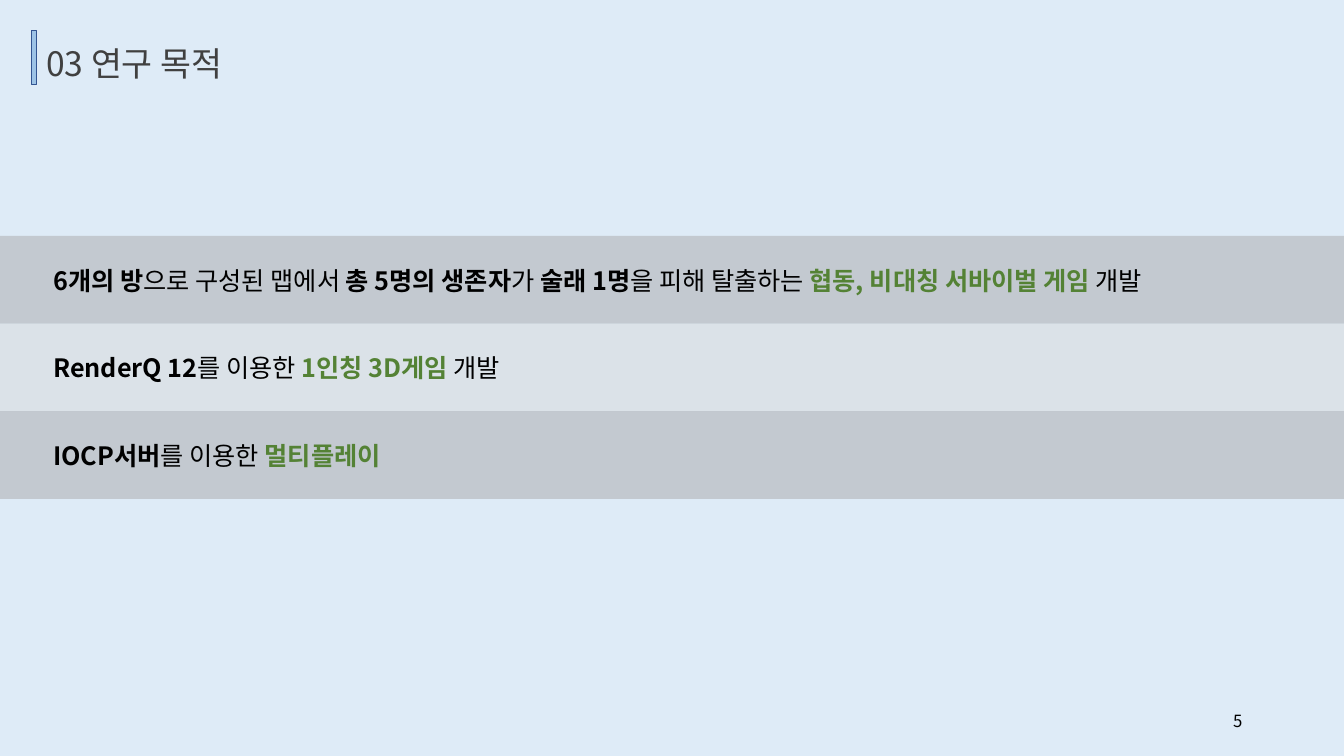
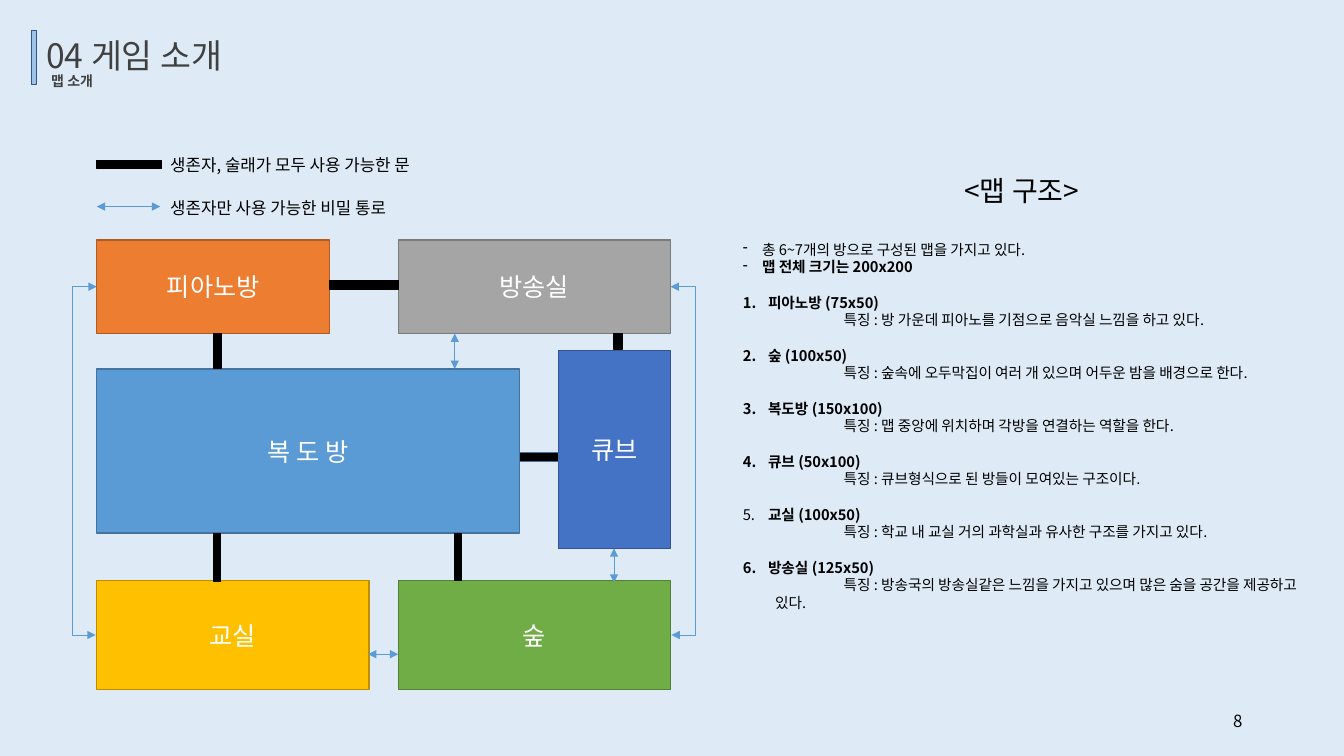
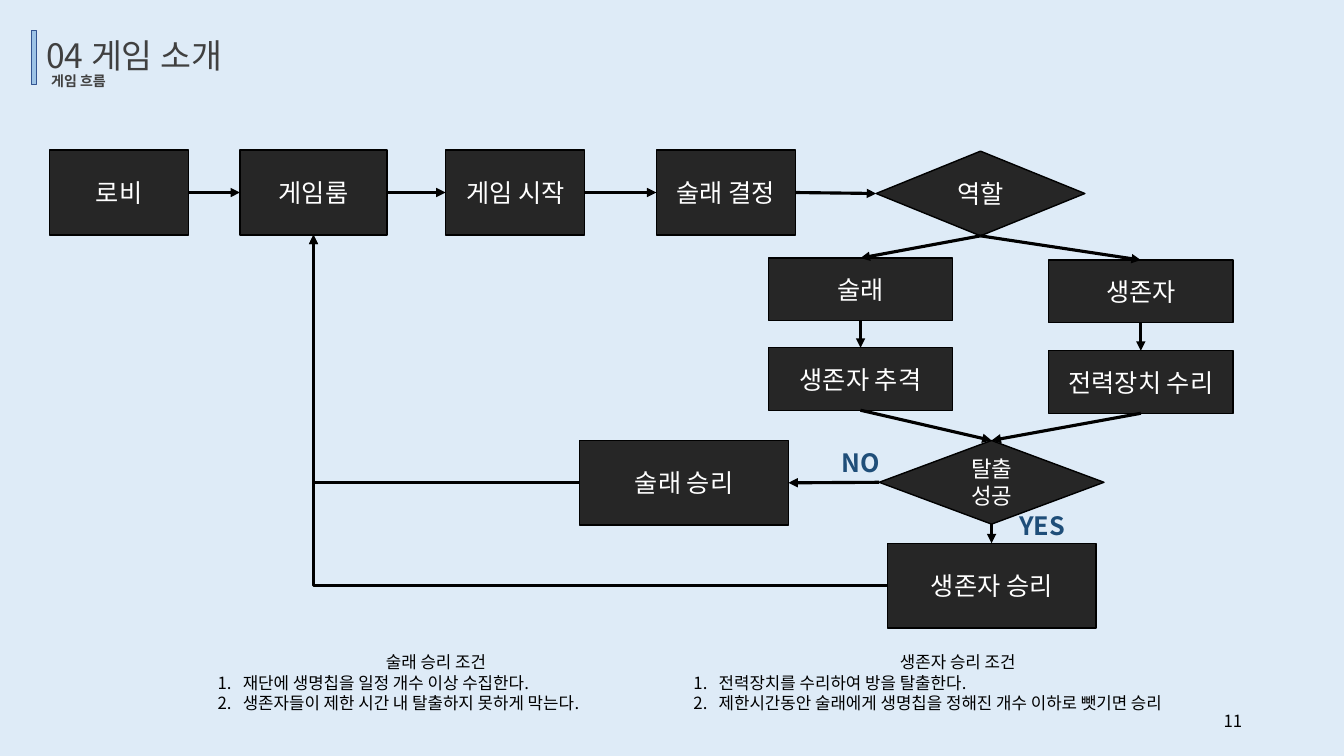
from dataclasses import dataclass
from typing import NamedTuple

from lxml.etree import SubElement
from pptx import Presentation
from pptx.dml.color import RGBColor
from pptx.enum.shapes import MSO_CONNECTOR as Connector, MSO_SHAPE as Preset
from pptx.enum.text import MSO_ANCHOR as Anchor, PP_ALIGN as Align
from pptx.oxml.ns import qn
from pptx.util import Inches, Pt

FONT = "Noto Sans CJK KR"
LINE_FACTOR = 1.2

BACKGROUND = RGBColor(0xDE, 0xEB, 0xF7)
BLACK = RGBColor(0, 0, 0)
WHITE = RGBColor(0xFF, 0xFF, 0xFF)
TITLE_GRAY = RGBColor(0x40, 0x40, 0x40)
ACCENT = RGBColor(0x9D, 0xC3, 0xE6)
NAVY = RGBColor(0x32, 0x54, 0x91)
BAND_DARK = RGBColor(0xA6, 0xA6, 0xA6)
BAND_LIGHT = RGBColor(0xD9, 0xD9, 0xD9)
KEY_GREEN = RGBColor(0x54, 0x82, 0x35)
NODE_FILL = RGBColor(0x26, 0x26, 0x26)
ANSWER_BLUE = RGBColor(0x1F, 0x4E, 0x79)
ORANGE = RGBColor(0xED, 0x7D, 0x31)
ORANGE_EDGE = RGBColor(0xAF, 0x5C, 0x24)
GRAY = RGBColor(0xA5, 0xA5, 0xA5)
GRAY_EDGE = RGBColor(0x7A, 0x7A, 0x7A)
BLUE = RGBColor(0x5B, 0x9B, 0xD5)
BLUE_EDGE = RGBColor(0x43, 0x73, 0x9E)
GREEN = RGBColor(0x70, 0xAD, 0x47)
GREEN_EDGE = RGBColor(0x53, 0x80, 0x35)
YELLOW = RGBColor(0xFF, 0xC0, 0x00)
YELLOW_EDGE = RGBColor(0xBD, 0x8E, 0x00)
INDIGO = RGBColor(0x44, 0x72, 0xC4)

TOP, LEFT, BOTTOM, RIGHT = range(4)  # connection sites


class Box(NamedTuple):
    left: float
    top: float
    width: float
    height: float

    def lengths(self):
        return [Inches(value) for value in self]


class Run(NamedTuple):
    text: str
    bold: bool = False
    color: RGBColor | None = None


@dataclass
class Line:
    """One paragraph; number starts an automatic list at that value."""
    runs: list[Run]
    size: float = 12
    color: RGBColor = BLACK
    align: Align = Align.LEFT
    bullet: str = ""
    number: int = 0
    margin: float = 0
    indent: float = 0
    before: float = 0


class Room(NamedTuple):
    name: str
    box: Box
    fill: RGBColor
    edge: RGBColor


class Node(NamedTuple):
    lines: list[str]
    box: Box
    preset: Preset = Preset.RECTANGLE
    size: float = 18


class Arrow(NamedTuple):
    start: str
    start_site: int
    end: str
    end_site: int


def write_lines(frame, lines: list[Line]):
    frame.word_wrap = True
    for index, line in enumerate(lines):
        paragraph = frame.paragraphs[0] if index == 0 else frame.add_paragraph()
        paragraph.alignment = line.align
        paragraph.line_spacing = Pt(round(line.size * LINE_FACTOR, 1))
        paragraph.space_before = Pt(line.before)
        properties = paragraph._p.get_or_add_pPr()
        if line.margin:
            properties.set("marL", str(Inches(line.margin)))
            properties.set("indent", str(Inches(line.indent)))
        if line.bullet:
            SubElement(properties, qn("a:buChar"), char=line.bullet)
        elif line.number:
            SubElement(properties, qn("a:buAutoNum"), type="arabicPeriod",
                       startAt=str(line.number))
        font = paragraph.font
        font.name, font.size = FONT, Pt(line.size)
        font.color.rgb = line.color
        SubElement(properties.find(qn("a:defRPr")), qn("a:ea"), typeface=FONT)
        for part in line.runs:
            run = paragraph.add_run()
            run.text = part.text
            if part.bold:
                run.font.bold = True
            if part.color is not None:
                run.font.color.rgb = part.color


def add_text(slide, box: Box, lines: list[Line], anchor=Anchor.TOP):
    frame = slide.shapes.add_textbox(*box.lengths()).text_frame
    frame.vertical_anchor = anchor
    write_lines(frame, lines)


def add_block(slide, box: Box, fill: RGBColor, edge: RGBColor | None = None,
              labels: list[str] | None = None, preset=Preset.RECTANGLE, size: float = 18):
    shape = slide.shapes.add_shape(preset, *box.lengths())
    shape.shadow.inherit = False
    shape.fill.solid()
    shape.fill.fore_color.rgb = fill
    if edge is None:
        shape.line.fill.background()
    else:
        shape.line.color.rgb = edge
        shape.line.width = Pt(1)
    if labels:
        shape.text_frame.vertical_anchor = Anchor.MIDDLE
        write_lines(shape.text_frame, [
            Line([Run(label)], size, WHITE, Align.CENTER) for label in labels])
    return shape


def set_opacity(shape, percent: int):
    color = shape._element.spPr.find(qn("a:solidFill")).find(qn("a:srgbClr"))
    SubElement(color, qn("a:alpha"), val=str(percent * 1000))


def add_arrow(slide, start=(0, 0), end=(0, 0), kind=Connector.STRAIGHT,
              color: RGBColor = BLACK, width: float = 2.25, both_ends: bool = False):
    points = [Inches(value) for value in (*start, *end)]
    connector = slide.shapes.add_connector(kind, *points)
    connector.line.color.rgb = color
    connector.line.width = Pt(width)
    properties = connector._element.spPr
    outline = properties.find(qn("a:ln"))
    if both_ends:
        SubElement(outline, qn("a:headEnd"), type="triangle")
    SubElement(outline, qn("a:tailEnd"), type="triangle")
    SubElement(properties, qn("a:effectLst"))
    return connector


def add_passage(slide, start=(0, 0), end=(0, 0), kind=Connector.STRAIGHT):
    return add_arrow(slide, start, end, kind, BLUE, 0.5, both_ends=True)


def add_outer_passage(slide, upper, lower, site: int):
    """Joins two rooms on the same side by a path 0.25 inches outside them."""
    step = 0.01
    connector = add_passage(slide, kind=Connector.ELBOW)
    connector.begin_connect(upper, site)
    connector.end_connect(lower, site)
    connector.end_x += Inches(step if site == RIGHT else -step)
    guides = connector._element.spPr.find(qn("a:prstGeom")).find(qn("a:avLst"))
    SubElement(guides, qn("a:gd"), name="adj1", fmla=f"val {round(0.25 / step * 100000)}")


def add_page(presentation, title: str, number: int, subtitle: str = ""):
    slide = presentation.slides.add_slide(presentation.slide_layouts[6])
    slide.background.fill.solid()
    slide.background.fill.fore_color.rgb = BACKGROUND
    add_text(slide, Box(0.36, 0.3 if subtitle else 0.38, 5.09, 0.5),
             [Line([Run(title)], 24, TITLE_GRAY)])
    add_block(slide, Box(0.31, 0.3, 0.05, 0.54), ACCENT, NAVY)
    if subtitle:
        add_text(slide, Box(0.41, 0.67, 5.09, 0.27),
                 [Line([Run(subtitle, True)], 10, TITLE_GRAY)])
    add_text(slide, Box(9.42, 6.95, 3, 0.4),
             [Line([Run(str(number))], align=Align.RIGHT)], Anchor.MIDDLE)
    return slide


GOALS = [
    [Run("6개의 방", True), Run("으로 구성된 맵에서 "), Run("총 5명의 생존자", True),
     Run("가 "), Run("술래 1명", True), Run("을 피해 탈출하는 "),
     Run("협동, 비대칭 서바이벌 게임 ", True, KEY_GREEN), Run("개발")],
    [Run("RenderQ 12", True), Run("를 이용한 "),
     Run("1인칭 3D게임", True, KEY_GREEN), Run(" 개발")],
    [Run("IOCP서버", True), Run("를 이용한 "), Run("멀티플레이", True, KEY_GREEN)],
]


def build_purpose(presentation):
    slide = add_page(presentation, "03 연구 목적", 5)
    height = 0.87
    for index, goal in enumerate(GOALS):
        top = 2.34 + index * height
        band = add_block(slide, Box(0, top, 13.33, height),
                         BAND_LIGHT if index % 2 else BAND_DARK)
        set_opacity(band, 48)
        add_text(slide, Box(0.43, top + 0.24, 12.47, 0.4), [Line(goal, 18)])


ROOMS = [
    Room("피아노방", Box(0.96, 2.38, 2.31, 0.93), ORANGE, ORANGE_EDGE),
    Room("방송실", Box(3.95, 2.38, 2.7, 0.93), GRAY, GRAY_EDGE),
    Room("복 도 방", Box(0.96, 3.66, 4.19, 1.63), BLUE, BLUE_EDGE),
    Room("숲", Box(3.95, 5.76, 2.7, 1.08), GREEN, GREEN_EDGE),
    Room("교실", Box(0.96, 5.76, 2.7, 1.08), YELLOW, YELLOW_EDGE),
    Room("큐브", Box(5.54, 3.48, 1.11, 1.96), INDIGO, NAVY),
]
DOORS = [
    Box(2.12, 3.31, 0.08, 0.34), Box(3.27, 2.78, 0.68, 0.09),
    Box(6.09, 3.31, 0.08, 0.16), Box(2.12, 5.29, 0.07, 0.48),
    Box(4.51, 5.29, 0.07, 0.47), Box(0.96, 1.59, 0.64, 0.08),
]
CORRIDOR_DOOR = Box(5.15, 4.49, 0.39, 0.09)
PASSAGES = [
    ((6.09, 5.44), (6.09, 5.78)), ((3.65, 6.49), (3.95, 6.49)),
    ((4.51, 3.31), (4.51, 3.66)), ((0.96, 2.05), (1.59, 2.05)),
]
LEGEND = [(1.49, "생존자, 술래가 모두 사용 가능한 문"), (1.91, "생존자만 사용 가능한 비밀 통로")]
ROOM_NOTES = [
    ("피아노방 (75x50)", "방 가운데 피아노를 기점으로 음악실 느낌을 하고 있다."),
    ("숲 (100x50)", "숲속에 오두막집이 여러 개 있으며 어두운 밤을 배경으로 한다."),
    ("복도방 (150x100)", "맵 중앙에 위치하며 각방을 연결하는 역할을 한다."),
    ("큐브 (50x100)", "큐브형식으로 된 방들이 모여있는 구조이다."),
    ("교실 (100x50)", "학교 내 교실 거의 과학실과 유사한 구조를 가지고 있다."),
    ("방송실 (125x50)", "방송국의 방송실같은 느낌을 가지고 있으며 많은 숨을 공간을 제공하고 있다."),
]
PLAIN_NUMBER = 5  # the one list number that is not bold


def map_notes() -> list[Line]:
    size = 10.5
    lines = [
        Line([Run("<맵 구조>")], 20, align=Align.CENTER),
        Line([Run("총 6~7개의 방으로 구성된 맵을 가지고 있다.")], size,
             bullet="-", margin=0.19, indent=-0.19, before=24),
        Line([Run("맵 전체 크기는 200x200", True)], size,
             bullet="-", margin=0.19, indent=-0.19),
    ]
    for number, (name, feature) in enumerate(ROOM_NOTES, 1):
        plain = number == PLAIN_NUMBER
        runs = [Run(f"{number}.\t")] if plain else []
        lines.append(Line([*runs, Run(name, True)], size, number=0 if plain else number,
                          margin=0.25, indent=-0.25, before=12.6))
        lines.append(Line([Run(f"특징 : {feature}")], size, margin=0.32, indent=0.68))
    return lines


def build_map(presentation):
    slide = add_page(presentation, "04 게임 소개", 8, "맵 소개")
    rooms = {room.name: add_block(slide, room.box, room.fill, room.edge, [room.name])
             for room in ROOMS}
    for door in DOORS:
        add_block(slide, door, BLACK, BLACK)
    add_block(slide, CORRIDOR_DOOR, BLACK, BLUE_EDGE)
    for start, end in PASSAGES:
        add_passage(slide, start, end)
    add_outer_passage(slide, rooms["피아노방"], rooms["교실"], LEFT)
    add_outer_passage(slide, rooms["방송실"], rooms["숲"], RIGHT)
    for top, label in LEGEND:
        add_text(slide, Box(1.59, top, 5.73, 0.3), [Line([Run(label)])])
    add_text(slide, Box(7.27, 1.67, 5.73, 4.66), map_notes())


NODES = [
    Node(["로비"], Box(0.49, 1.49, 1.38, 0.84)),
    Node(["게임룸"], Box(2.38, 1.49, 1.46, 0.84)),
    Node(["게임 시작"], Box(4.42, 1.49, 1.38, 0.84)),
    Node(["술래 결정"], Box(6.51, 1.49, 1.38, 0.84)),
    Node(["역할"], Box(8.69, 1.5, 2.07, 0.84), Preset.DIAMOND),
    Node(["술래"], Box(7.62, 2.56, 1.83, 0.62)),
    Node(["생존자"], Box(10.4, 2.58, 1.83, 0.62)),
    Node(["생존자 추격"], Box(7.62, 3.45, 1.83, 0.62)),
    Node(["전력장치 수리"], Box(10.4, 3.48, 1.83, 0.62)),
    Node(["탈출", "성공"], Box(8.72, 4.37, 2.23, 0.83), Preset.DIAMOND, 16),
    Node(["술래 승리"], Box(5.75, 4.37, 2.07, 0.84)),
    Node(["생존자 승리"], Box(8.8, 5.39, 2.07, 0.84)),
]
ARROWS = [
    Arrow("로비", RIGHT, "게임룸", LEFT),
    Arrow("게임룸", RIGHT, "게임 시작", LEFT),
    Arrow("게임 시작", RIGHT, "술래 결정", LEFT),
    Arrow("술래 결정", RIGHT, "역할", LEFT),
    Arrow("역할", BOTTOM, "술래", TOP),
    Arrow("역할", BOTTOM, "생존자", TOP),
    Arrow("술래", BOTTOM, "생존자 추격", TOP),
    Arrow("생존자", BOTTOM, "전력장치 수리", TOP),
    Arrow("생존자 추격", BOTTOM, "탈출 성공", TOP),
    Arrow("전력장치 수리", BOTTOM, "탈출 성공", TOP),
    Arrow("탈출 성공", LEFT, "술래 승리", RIGHT),
    Arrow("탈출 성공", BOTTOM, "생존자 승리", TOP),
    Arrow("술래 승리", LEFT, "게임룸", BOTTOM),
    Arrow("생존자 승리", LEFT, "게임룸", BOTTOM),
]
ANSWERS = [("NO", Box(8.25, 4.39, 0.64, 0.4)), ("YES", Box(10.01, 5.01, 0.68, 0.4))]
CONDITIONS = [
    (Box(2.06, 6.42, 4.53, 0.71), "술래 승리 조건",
     ["재단에 생명칩을 일정 개수 이상 수집한다.",
      "생존자들이 제한 시간 내 탈출하지 못하게 막는다."]),
    (Box(6.78, 6.42, 5.44, 0.91), "생존자 승리 조건",
     ["전력장치를 수리하여 방을 탈출한다.",
      "제한시간동안 술래에게 생명칩을 정해진 개수 이하로 뺏기면 승리"]),
]


def build_flow(presentation):
    slide = add_page(presentation, "04 게임 소개", 11, "게임 흐름")
    nodes = {" ".join(node.lines): add_block(slide, node.box, NODE_FILL, BLACK,
                                             node.lines, node.preset, node.size)
             for node in NODES}
    for arrow in ARROWS:
        turns = (arrow.start_site, arrow.end_site) == (LEFT, BOTTOM)
        connector = add_arrow(slide, kind=Connector.ELBOW if turns else Connector.STRAIGHT)
        connector.begin_connect(nodes[arrow.start], arrow.start_site)
        connector.end_connect(nodes[arrow.end], arrow.end_site)
        if turns:
            connector._element.spPr.find(qn("a:prstGeom")).set("prst", "bentConnector2")
    for answer, box in ANSWERS:
        add_text(slide, box, [Line([Run(answer, True)], 18, ANSWER_BLUE)])
    for box, heading, rules in CONDITIONS:
        add_text(slide, box, [
            Line([Run(heading)], align=Align.CENTER),
            *(Line([Run(rule)], number=1, margin=0.25, indent=-0.25) for rule in rules)])


def main():
    presentation = Presentation()
    presentation.slide_width = Inches(13.33)
    presentation.slide_height = Inches(7.5)
    build_purpose(presentation)
    build_map(presentation)
    build_flow(presentation)
    presentation.save("out.pptx")


if __name__ == "__main__":
    main()
